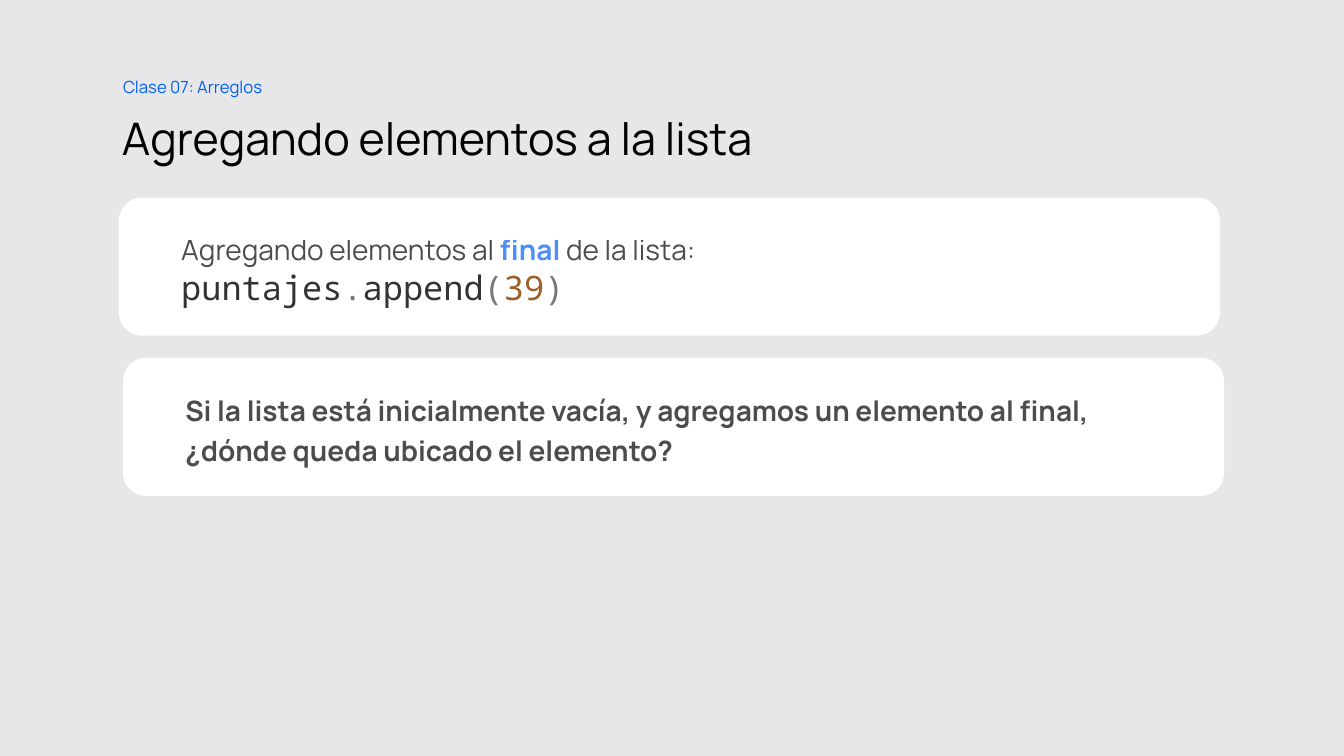
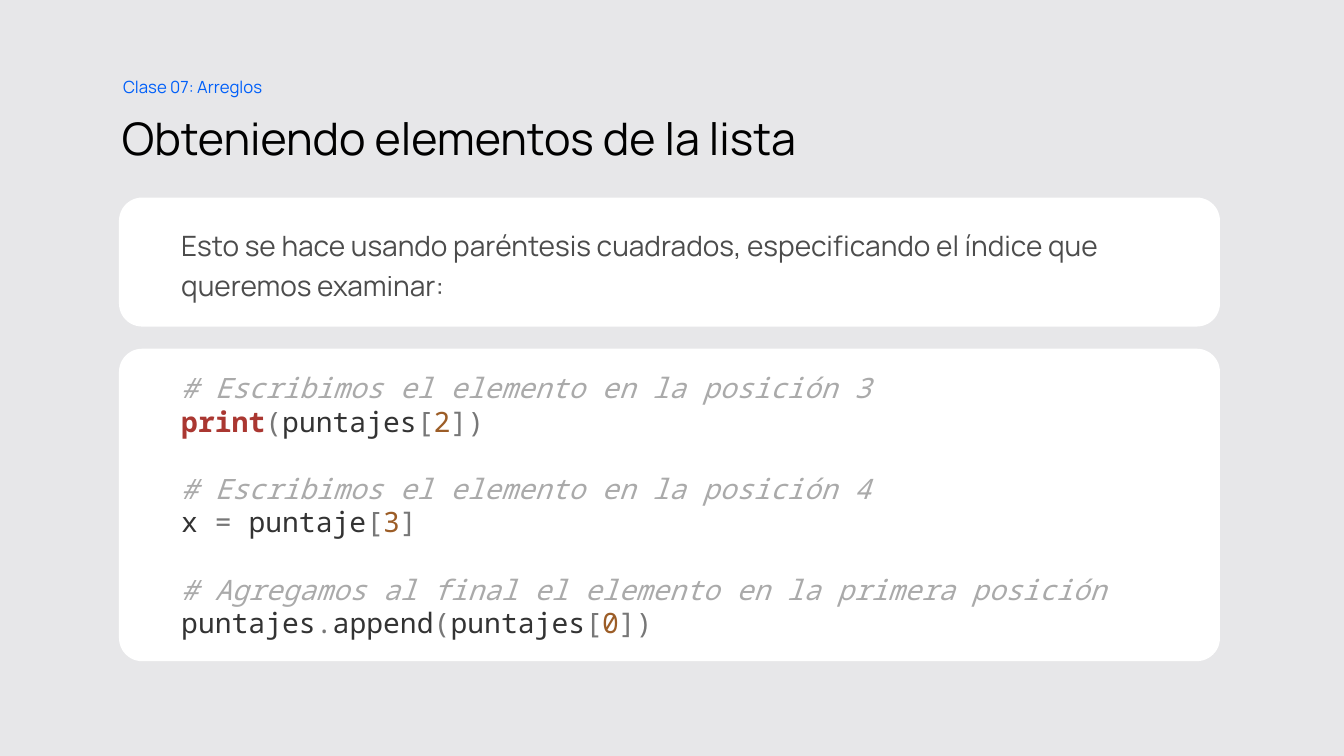
"""Build two slides about adding and reading list elements."""
from dataclasses import dataclass
from itertools import groupby

from lxml.etree import SubElement
from pptx import Presentation
from pptx.dml.color import RGBColor
from pptx.enum.shapes import MSO_SHAPE
from pptx.enum.text import MSO_ANCHOR, PP_ALIGN
from pptx.oxml.ns import qn
from pptx.util import Emu, Pt

EMU_PER_PX = 9144
COLORS = {
    "page": "E7E7E9",
    "card": "FFFFFF",
    "black": "000000",
    "blue": "005FF9",
    "name": "333333",
    "symbol": "777777",
    "number": "9C5D27",
    "comment": "AAAAAA",
    "keyword": "AA3731",
}
SANS, MONO = "Manrope", "Noto Sans Mono"
KEYWORDS = {"print"}
CARD_LEFT, CARD_WIDTH, CARD_RADIUS = 118, 1092, 23
CARD_INSETS = (55, 0, 30, 0)
CODE_GAP = 24


@dataclass(frozen=True)
class Span:
    text: str
    color: str = "black"
    bold: bool = False
    italic: bool = False
    alpha: int = 100


@dataclass(frozen=True)
class Line:
    spans: list[Span]
    size: int = 20
    font: str = SANS
    spacing: float = 1.2
    before: int = 0


@dataclass(frozen=True)
class Card:
    top: int
    height: int
    lines: list[Line]
    left: int = CARD_LEFT


@dataclass(frozen=True)
class Page:
    title: str
    cards: list[Card]


def px(length: int) -> Emu:
    return Emu(length * EMU_PER_PX)


def rgb(name: str) -> RGBColor:
    return RGBColor.from_string(COLORS[name])


def prose(text: str, color: str = "black", bold: bool = False) -> Span:
    return Span(text, color, bold, alpha=70)


def token_kind(char: str) -> str:
    if char.isdigit():
        return "number"
    return "name" if char.isalpha() or char == " " else "symbol"


def code(text: str, size: int = 20, before: int = 0) -> Line:
    if text.startswith("#"):
        spans = [Span(text, "comment", italic=True)]
    else:
        spans = []
        for kind, chars in groupby(text, token_kind):
            token = "".join(chars)
            is_keyword = token in KEYWORDS
            spans.append(Span(token, "keyword" if is_keyword else kind, is_keyword))
    return Line(spans, size, MONO, 1.0, before)


def write_lines(shape, lines: list[Line], insets: tuple[int, int, int, int],
                anchor: MSO_ANCHOR) -> None:
    frame = shape.text_frame
    frame.word_wrap = True
    frame.vertical_anchor = anchor
    (frame.margin_left, frame.margin_top,
     frame.margin_right, frame.margin_bottom) = map(px, insets)
    for index, line in enumerate(lines):
        para = frame.add_paragraph() if index else frame.paragraphs[0]
        para.alignment = PP_ALIGN.LEFT
        para.line_spacing = line.spacing
        para.space_before = Pt(line.before)
        for span in line.spans:
            run = para.add_run()
            run.text = span.text
            font = run.font
            font.name, font.size = line.font, Pt(line.size)
            font.bold, font.italic = span.bold, span.italic
            font.color.rgb = rgb(span.color)
            if span.alpha < 100:
                color = run._r.rPr.find(f".//{qn('a:srgbClr')}")
                SubElement(color, qn("a:alpha")).set("val", str(span.alpha * 1000))


def add_label(slide, box: tuple[int, int, int, int], line: Line,
              insets: tuple[int, int, int, int], anchor: MSO_ANCHOR) -> None:
    label = slide.shapes.add_textbox(*map(px, box))
    write_lines(label, [line], insets, anchor)


def add_card(slide, card: Card) -> None:
    box = (card.left, card.top, CARD_WIDTH, card.height)
    shape = slide.shapes.add_shape(MSO_SHAPE.ROUNDED_RECTANGLE, *map(px, box))
    shape.adjustments[0] = CARD_RADIUS / card.height
    shape.shadow.inherit = False
    shape.fill.solid()
    shape.fill.fore_color.rgb = rgb("card")
    shape.line.fill.background()
    write_lines(shape, card.lines, CARD_INSETS, MSO_ANCHOR.MIDDLE)


def add_page(deck, page: Page) -> None:
    slide = deck.slides.add_slide(deck.slide_layouts[6])
    add_label(slide, (121, 100, 1085, 75),
              Line([Span(page.title)], size=32, spacing=0.9),
              (0, 10, 10, 5), MSO_ANCHOR.MIDDLE)
    add_label(slide, (122, 67, 161, 34),
              Line([Span("Clase 07: Arreglos", "blue")], size=12),
              (0, 5, 10, 5), MSO_ANCHOR.TOP)
    for card in page.cards:
        add_card(slide, card)


PAGES = [
    Page("Agregando elementos a la lista", [
        Card(196, 137, [
            Line([prose("Agregando elementos al "), prose("final", "blue", True),
                  prose(" de la lista:")]),
            code("puntajes.append(39)", size=24),
        ]),
        Card(355, 137, [
            Line([prose("Si la lista está inicialmente vacía, y agregamos un elemento "
                        "al final, ¿dónde queda ubicado el elemento?", bold=True)]),
        ], left=122),
    ]),
    Page("Obteniendo elementos de la lista", [
        Card(196, 128, [
            Line([prose("Esto se hace usando paréntesis cuadrados, especificando "
                        "el índice que queremos examinar:")]),
        ]),
        Card(346, 310, [
            code("# Escribimos el elemento en la posición 3"),
            code("print(puntajes[2])"),
            code("# Escribimos el elemento en la posición 4", before=CODE_GAP),
            code("x = puntaje[3]"),
            code("# Agregamos al final el elemento en la primera posición",
                 before=CODE_GAP),
            code("puntajes.append(puntajes[0])"),
        ]),
    ]),
]


def main() -> None:
    deck = Presentation()
    deck.slide_width, deck.slide_height = px(1333), px(750)
    background = deck.slide_master.background.fill
    background.solid()
    background.fore_color.rgb = rgb("page")
    for page in PAGES:
        add_page(deck, page)
    deck.save("out.pptx")


if __name__ == "__main__":
    main()
